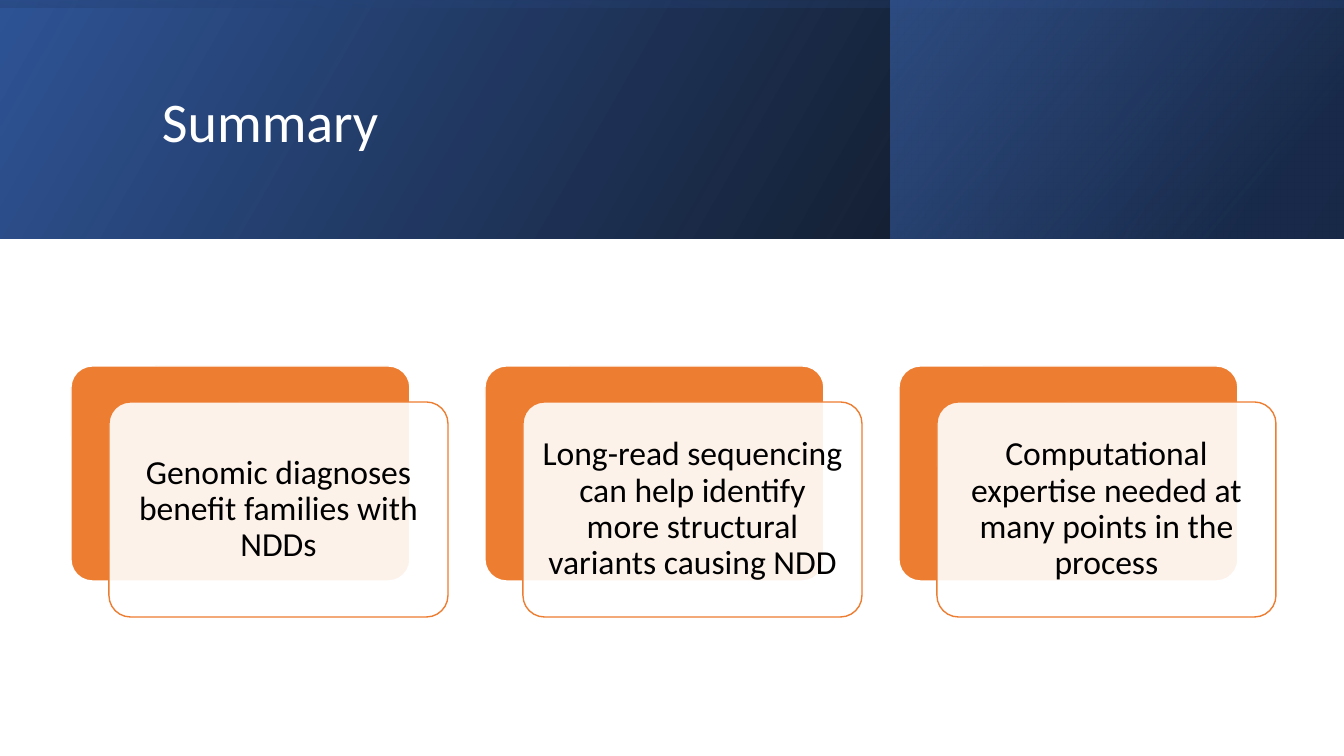
from lxml import etree
from pptx import Presentation
from pptx import util as u
from pptx.dml.color import RGBColor
from pptx.enum import shapes, text
from pptx.oxml import ns

COLORS = {
    "white": "FFFFFF",
    "black": "000000",
    "orange": "ED7D31",
    "navy": "1F3864",
    "royal": "2F5496",
    "sky": "4472C4",
}
CARDS = [
    "Genomic diagnoses benefit families with NDDs",
    "Long-read sequencing can help identify more structural variants causing NDD",
    "Computational expertise needed at many points in the process",
]


class SummarySlide:
    font = "Calibri"
    pixels_per_inch = 100.8

    def __init__(self, deck):
        deck.slide_width, deck.slide_height = self.emu(1344), self.emu(756)
        self.slide = deck.slides.add_slide(deck.slide_layouts[6])

    def emu(self, px):
        return u.Inches(px / self.pixels_per_inch)

    def shape(self, preset, box):
        item = self.slide.shapes.add_shape(preset, *map(self.emu, box))
        item.shadow.inherit = False
        return item

    def alpha(self, color, percent):
        etree.SubElement(color, ns.qn("a:alpha"), val=str(percent * 1000))

    def banner(self, box, stops, angle, rotation=0):
        band = self.shape(shapes.MSO_SHAPE.RECTANGLE, box)
        band.rotation = rotation
        band.line.fill.background()
        band.fill.gradient()
        band.fill.gradient_angle = 360 - angle
        properties = band.element.spPr
        properties.find(ns.qn("a:xfrm")).set("flipH", "1")
        stop_list = properties.find(".//" + ns.qn("a:gsLst"))
        for stop in list(stop_list):
            stop_list.remove(stop)
        for position, color, opacity in stops:
            stop = etree.SubElement(stop_list, ns.qn("a:gs"), pos=str(position * 1000))
            rgb = etree.SubElement(stop, ns.qn("a:srgbClr"), val=COLORS[color])
            self.alpha(rgb, opacity)

    def panel(self, box, fill, line, opacity=100):
        panel = self.shape(shapes.MSO_SHAPE.ROUNDED_RECTANGLE, box)
        panel.adjustments[0] = 0.1
        panel.fill.solid()
        panel.fill.fore_color.rgb = RGBColor.from_string(COLORS[fill])
        if opacity < 100:
            rgb = panel.element.spPr.find(ns.qn("a:solidFill")).find(ns.qn("a:srgbClr"))
            self.alpha(rgb, opacity)
        panel.line.color.rgb = RGBColor.from_string(COLORS[line])
        panel.line.width = u.Pt(1)
        return panel

    def label(self, holder, words, size, color, align, inset):
        frame = holder.text_frame
        frame.word_wrap = True
        frame.vertical_anchor = text.MSO_ANCHOR.MIDDLE
        frame.margin_left = frame.margin_right = self.emu(10)
        frame.margin_top = frame.margin_bottom = self.emu(inset)
        paragraph = frame.paragraphs[0]
        paragraph.alignment = align
        paragraph.line_spacing = 0.9
        run = paragraph.add_run()
        run.text = words
        run.font.name = self.font
        run.font.size = u.Pt(size)
        run.font.color.rgb = RGBColor.from_string(COLORS[color])

    def title(self, box, words):
        heading = self.slide.shapes.add_textbox(*map(self.emu, box))
        self.label(heading, words, 40, "white", text.PP_ALIGN.LEFT, 5)

    def card(self, left, top, words):
        width, height = 339, 215
        self.panel((left, top, width, height), "orange", "white")
        front = self.panel((left + 38, top + 36, width, height), "white", "orange", 90)
        self.label(front, words, 24, "black", text.PP_ALIGN.CENTER, 10)


def main():
    deck = Presentation()
    summary = SummarySlide(deck)
    summary.banner((0, 0, 1344, 239), [(0, "black", 96), (100, "royal", 100)], 330)
    summary.banner(
        (891, 0, 452, 239),
        [(0, "navy", 68), (19, "navy", 68), (100, "sky", 48)],
        320,
    )
    summary.banner(
        (552, -552, 239, 1344),
        [(0, "royal", 16), (23, "royal", 16), (99, "black", 45), (100, "black", 45)],
        350,
        rotation=270,
    )
    summary.title((152, 38, 1072, 173), "Summary")
    for column, words in enumerate(CARDS):
        summary.card(71 + column * 414, 366, words)
    deck.save("out.pptx")


if __name__ == "__main__":
    main()
